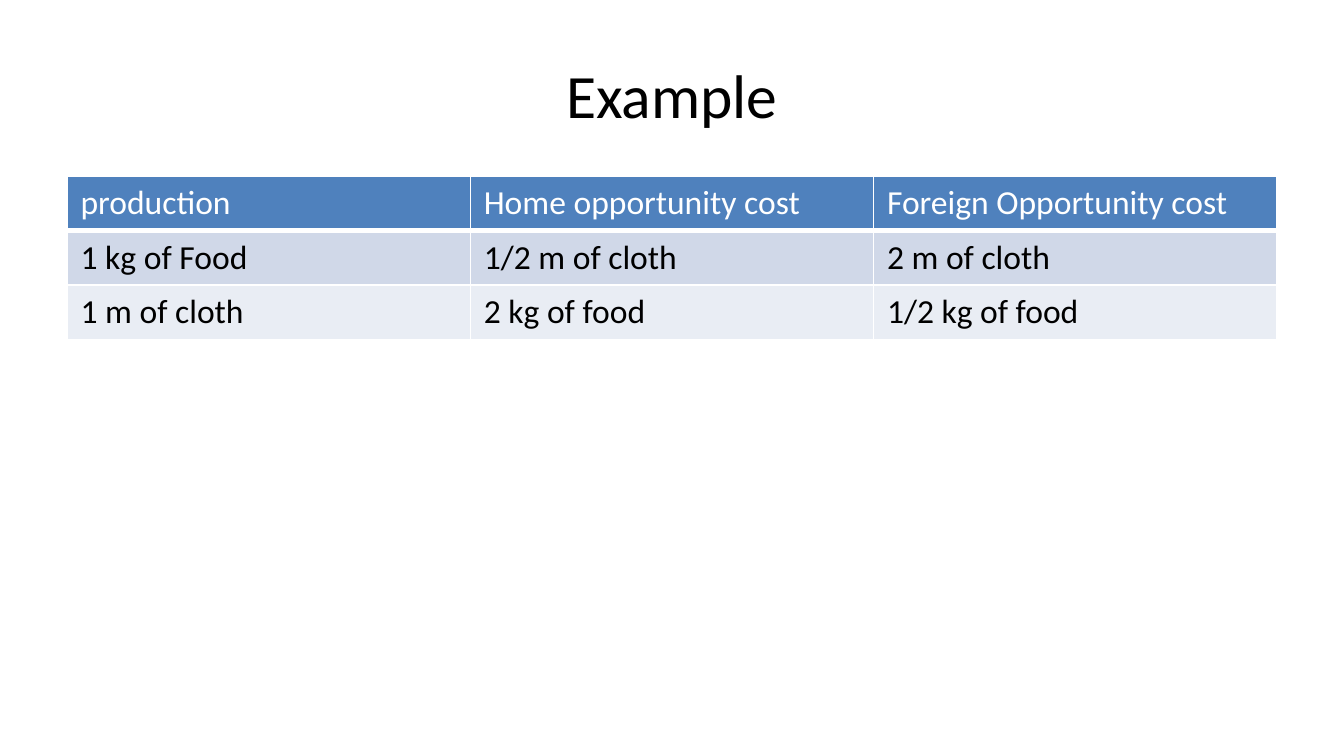
from dataclasses import dataclass

import pptx
import pptx.dml.color
import pptx.enum.text
import pptx.oxml
import pptx.oxml.ns
import pptx.table
import pptx.text.text
import pptx.util
from pptx.util import Inches

WHITE = pptx.dml.color.RGBColor(0xFF, 0xFF, 0xFF)
BLACK = pptx.dml.color.RGBColor(0x00, 0x00, 0x00)
HEADER_BLUE = pptx.dml.color.RGBColor(0x4F, 0x81, 0xBD)
BAND_DARK = pptx.dml.color.RGBColor(0xD0, 0xD8, 0xE8)
BAND_LIGHT = pptx.dml.color.RGBColor(0xE9, 0xED, 0xF4)

THIN, THICK = 1, 3


@dataclass(frozen=True)
class CostRow:
    entries: tuple[str, str, str]
    fill: pptx.dml.color.RGBColor
    ink: pptx.dml.color.RGBColor = BLACK
    bottom: int = THIN


COST_ROWS = (
    CostRow(
        ("production", "Home opportunity cost", "Foreign Opportunity cost"),
        HEADER_BLUE, WHITE, THICK,
    ),
    CostRow(("1 kg of Food", "1/2 m of cloth", "2 m of cloth"), BAND_DARK),
    CostRow(("1 m of cloth", "2 kg of food", "1/2 kg of food"), BAND_LIGHT),
)


def apply_format(target: object, values: dict[str, object]) -> None:
    for name, value in values.items():
        setattr(target, name, value)


def write_text(
    frame: pptx.text.text.TextFrame, text: str, size: int, ink: pptx.dml.color.RGBColor
) -> None:
    frame.text = text
    font = frame.paragraphs[0].runs[0].font
    apply_format(font, {"name": "Calibri", "size": pptx.util.Pt(size), "bold": False})
    font.color.rgb = ink


def border_cell(cell: pptx.table._Cell, row: CostRow) -> None:
    properties = cell._tc.get_or_add_tcPr()
    widths = {"lnL": THIN, "lnR": THIN, "lnT": THIN, "lnB": row.bottom}
    for position, (edge, width) in enumerate(widths.items()):
        line = pptx.oxml.parse_xml(
            f'<a:{edge} {pptx.oxml.ns.nsdecls("a")} w="{pptx.util.Pt(width)}">'
            f'<a:solidFill><a:srgbClr val="{WHITE}"/></a:solidFill></a:{edge}>'
        )
        properties.insert(position, line)


def fill_row(table: pptx.table.Table, index: int, row: CostRow) -> None:
    for column, entry in enumerate(row.entries):
        cell = table.cell(index, column)
        write_text(cell.text_frame, entry, 18, row.ink)
        cell.fill.solid()
        cell.fill.fore_color.rgb = row.fill
        border_cell(cell, row)


def main() -> None:
    deck = pptx.Presentation()
    apply_format(deck, {"slide_width": Inches(10), "slide_height": Inches(10) * 9 // 16})
    slide = deck.slides.add_slide(deck.slide_layouts[5])

    heading = slide.shapes.title
    apply_format(heading, {
        "left": Inches(0.5), "top": Inches(0.23),
        "width": Inches(9), "height": Inches(0.94),
    })
    write_text(heading.text_frame, "Example", 33, BLACK)
    heading.text_frame.vertical_anchor = pptx.enum.text.MSO_ANCHOR.MIDDLE
    heading.text_frame.paragraphs[0].alignment = pptx.enum.text.PP_ALIGN.CENTER

    opportunity_costs = slide.shapes.add_table(
        len(COST_ROWS), len(COST_ROWS[0].entries),
        Inches(0.5), Inches(1.31), Inches(9), Inches(0.4) * len(COST_ROWS),
    ).table
    for index, row in enumerate(COST_ROWS):
        fill_row(opportunity_costs, index, row)

    deck.save("out.pptx")


if __name__ == "__main__":
    main()
